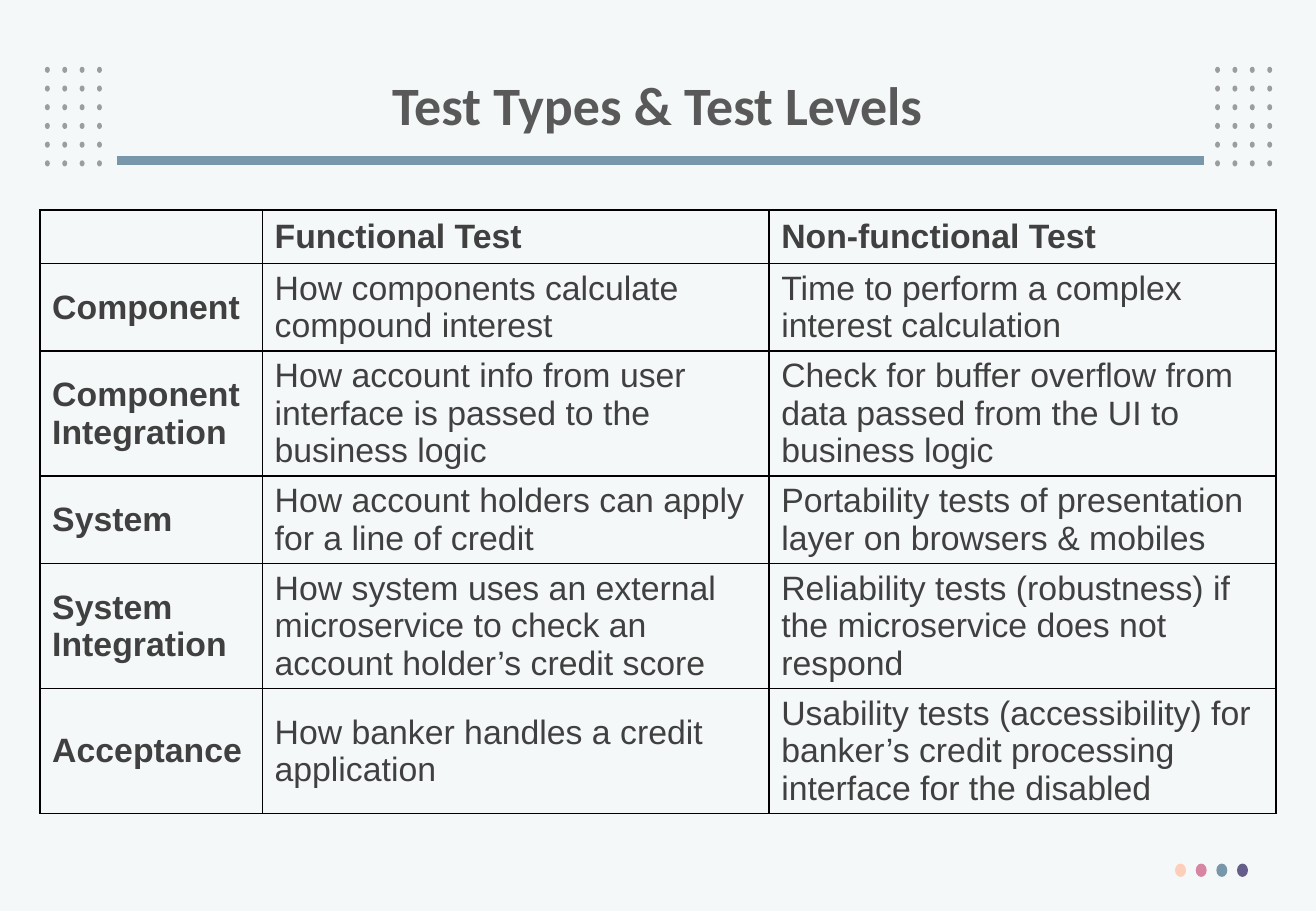
"""Build the slide that sets test types against test levels."""
from dataclasses import dataclass
from itertools import product

from lxml.etree import SubElement
from pptx import Presentation
from pptx.dml.color import RGBColor as RGB
from pptx.enum.shapes import MSO_CONNECTOR as CONN, MSO_SHAPE as SHAPE
from pptx.enum.text import MSO_ANCHOR as ANCHOR, MSO_AUTO_SIZE as AUTO, PP_ALIGN as ALIGN
from pptx.oxml.ns import qn
from pptx.util import Inches, Pt


@dataclass(frozen=True)
class Theme:
    """Colours, fonts and type sizes of the slide."""
    paper: str = "F5F8F9"
    heading: str = "595959"
    text: str = "404040"
    border: str = "000000"
    dot: str = "9D9D9D"
    rule: str = "7897AB"
    accents: tuple = ("FDCEB9", "D885A3", "7897AB", "655D8A")
    title_font: str = "Calibri"
    body_font: str = "Arial"
    title_size: int = 32
    body_size: int = 20


THEME = Theme()
SLIDE_W, SLIDE_H = 10.83, 7.5
MARGIN = 0.33
TABLE_TOP = 1.73
COLUMNS = (0.18, 0.41, 0.41)
HEADER_H, LINE_H, CELL_PAD = 0.44, 0.31, 0.1
DOT_COLS, DOT_ROWS = 4, 6
DOT_DX, DOT_DY = 0.143, 0.154

HEADER = ("", "Functional Test", "Non-functional Test")
LEVELS = (
    (2, "Component", "How components calculate compound interest",
     "Time to perform a complex interest calculation"),
    (3, "Component Integration",
     "How account info from user interface is passed to the business logic",
     "Check for buffer overflow from data passed from the UI to business logic"),
    (2, "System", "How account holders can apply for a line of credit",
     "Portability tests of presentation layer on browsers & mobiles"),
    (3, "System Integration",
     "How system uses an external microservice to check an account holder’s credit score",
     "Reliability tests (robustness) if the microservice does not respond"),
    (3, "Acceptance", "How banker handles a credit application",
     "Usability tests (accessibility) for banker’s credit processing interface for the disabled"),
)


def add_run(p, text, font, size, color, bold):
    """Add one formatted run to a paragraph."""
    r = p.add_run()
    r.text = text
    r.font.name, r.font.size, r.font.bold = font, Pt(size), bold
    r.font.color.rgb = RGB.from_string(color)


def add_dot(s, x, y, w, h, color):
    """Add a plain filled ellipse."""
    sp = s.shapes.add_shape(SHAPE.OVAL, Inches(x), Inches(y), Inches(w), Inches(h))
    sp.shadow.inherit = False
    sp.fill.solid()
    sp.fill.fore_color.rgb = RGB.from_string(color)
    sp.line.fill.background()


def add_dot_grid(s, left, top):
    """Add one grid of small grey dots."""
    for row, col in product(range(DOT_ROWS), range(DOT_COLS)):
        add_dot(s, left + col * DOT_DX, top + row * DOT_DY, 0.04, 0.05, THEME.dot)


def add_accents(s, left, top):
    """Add the row of coloured dots."""
    for i, color in enumerate(THEME.accents):
        add_dot(s, left + i * 0.17, top, 0.09, 0.11, color)


def add_rule(s, x1, x2, y):
    """Add the thick line under the title."""
    line = s.shapes.add_connector(CONN.STRAIGHT, Inches(x1), Inches(y), Inches(x2), Inches(y))
    line.line.color.rgb = RGB.from_string(THEME.rule)
    line.line.width = Pt(5.25)
    SubElement(line._element.spPr, qn("a:effectLst"))


def set_title(s, text):
    """Place and format the title placeholder."""
    sp = s.shapes.title
    sp.left, sp.top, sp.width, sp.height = map(Inches, (0.74, 0.4, 9.34, 0.98))
    tf = sp.text_frame
    tf.auto_size, tf.vertical_anchor = AUTO.NONE, ANCHOR.MIDDLE
    p = tf.paragraphs[0]
    p.alignment, p.line_spacing = ALIGN.CENTER, 0.9
    add_run(p, text, THEME.title_font, THEME.title_size, THEME.heading, True)


def set_borders(cell):
    """Draw a thin line on every side of a cell."""
    tc_pr = cell._tc.get_or_add_tcPr()
    for side in ("a:lnL", "a:lnR", "a:lnT", "a:lnB"):
        ln = SubElement(tc_pr, qn(side), w=str(Pt(1)))
        SubElement(SubElement(ln, qn("a:solidFill")), qn("a:srgbClr"), val=THEME.border)


def fill_cell(cell, text, bold):
    """Format a cell and write its text."""
    set_borders(cell)
    cell.fill.background()
    cell.vertical_anchor = ANCHOR.MIDDLE
    if text:
        add_run(cell.text_frame.paragraphs[0], text, THEME.body_font,
                THEME.body_size, THEME.text, bold)


def add_level_table(s):
    """Add the table of test levels by test type."""
    rows = [HEADER] + [texts for _, *texts in LEVELS]
    heights = [HEADER_H] + [CELL_PAD + lines * LINE_H for lines, *_ in LEVELS]
    width = SLIDE_W - 2 * MARGIN
    table = s.shapes.add_table(len(rows), len(COLUMNS), Inches(MARGIN), Inches(TABLE_TOP),
                               Inches(width), Inches(sum(heights))).table
    table.first_row = table.horz_banding = False
    for column, share in zip(table.columns, COLUMNS):
        column.width = Inches(width * share)
    for i, (texts, height) in enumerate(zip(rows, heights)):
        table.rows[i].height = Inches(height)
        for j, text in enumerate(texts):
            fill_cell(table.cell(i, j), text, i == 0 or j == 0)


def main():
    """Build and save the slide."""
    prs = Presentation()
    prs.slide_width, prs.slide_height = Inches(SLIDE_W), Inches(SLIDE_H)
    s = prs.slides.add_slide(prs.slide_layouts[5])
    s.background.fill.solid()
    s.background.fill.fore_color.rgb = RGB.from_string(THEME.paper)
    for left in (0.37, 10):
        add_dot_grid(s, left, 0.55)
    add_rule(s, 0.96, 9.91, 1.32)
    add_accents(s, 9.67, 7.11)
    set_title(s, "Test Types & Test Levels")
    add_level_table(s)
    prs.save("out.pptx")


if __name__ == "__main__":
    main()
